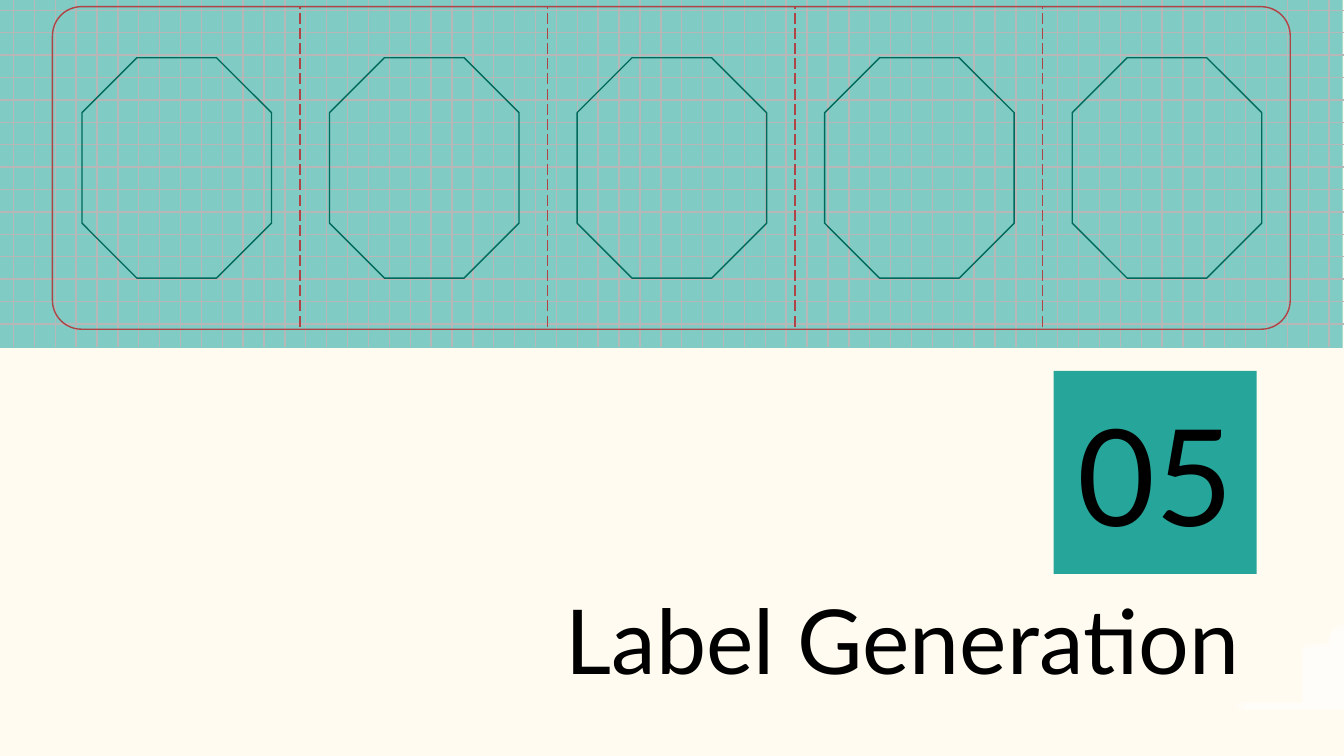
from lxml import etree
from pptx import Presentation
from pptx.dml.color import RGBColor
from pptx.enum import dml, shapes, text
from pptx.oxml.ns import qn
from pptx.util import Inches, Pt

CREAM = RGBColor(0xFF, 0xFB, 0xF0)
MINT = RGBColor(0x80, 0xCB, 0xC4)
TEAL = RGBColor(0x26, 0xA6, 0x9A)
PINE = RGBColor(0x00, 0x69, 0x5C)
RED = RGBColor(0xAF, 0x43, 0x45)
GREY = RGBColor(0xB7, 0xB7, 0xB7)
WHITE = RGBColor(0xFF, 0xFF, 0xFF)
BLACK = RGBColor(0x00, 0x00, 0x00)
KIND = shapes.MSO_SHAPE

# Widescreen, 16 to 9
deck = Presentation()
deck.slide_width, deck.slide_height = Inches(10), Inches(10 * 9 / 16)
slide = deck.slides.add_slide(deck.slide_layouts[0])
slide.background.fill.solid()
slide.background.fill.fore_color.rgb = CREAM
tree = slide.shapes


def block(kind, box, fill=None, edge=None):
    shape = tree.add_shape(kind, *map(Inches, box))
    shape.shadow.inherit = False
    if fill is None:
        shape.fill.background()
    else:
        shape.fill.solid()
        shape.fill.fore_color.rgb = fill
    if edge is None:
        shape.line.fill.background()
    else:
        shape.line.color.rgb = edge
        shape.line.width = Pt(0.75)
    return shape


def rule(home, ends, color):
    line = home.add_connector(shapes.MSO_CONNECTOR.STRAIGHT, *map(Inches, ends))
    line.line.color.rgb = color
    line.line.width = Pt(0.75)
    etree.SubElement(line._element.spPr, qn("a:effectLst"))
    return line


# Band with graph paper
block(KIND.RECTANGLE, (-0.01, -0.07, 10, 2.66), MINT)
rows = tree.add_group_shape().shapes
for i in range(15):
    y = 2.41 - i / 6
    rule(rows, (10, y, 0, y), GREY)
cols = tree.add_group_shape().shapes
for i in range(64):
    x = 9.89 - i * 9.79 / 63
    rule(cols, (x, -0.06, x, 2.58), GREY)

# Label strip: frame, five octagons, dashed cuts between them
frame = block(KIND.ROUNDED_RECTANGLE, (0.39, 0.05, 9.21, 2.4), edge=RED)
frame.adjustments[0] = 0.09
pitch = 9.21 / 5
for i in range(5):
    tag = block(KIND.OCTAGON, (0.61 + i * pitch, 0.43, 1.41, 1.64), edge=PINE)
    tag.adjustments[0] = 0.29
for i in range(1, 5):
    x = 0.39 + i * pitch
    cut = rule(tree, (x, 2.43, x, 0.05), RED)
    cut.line.dash_style = dml.MSO_LINE.LONG_DASH

# Clouds: a pair is a straight side, three pairs are a curve
start = (9.98, 4.68)
path = [
    (9.93, 4.68, 9.88, 4.72, 9.88, 4.77), (9.88, 4.78, 9.89, 4.8, 9.89, 4.81),
    (9.77, 4.81), (9.7, 4.81, 9.63, 4.87, 9.63, 4.94),
    (9.58, 4.97, 9.54, 5.02, 9.54, 5.09), (9.39, 5.09),
    (9.32, 5.09, 9.26, 5.15, 9.26, 5.23), (9.26, 5.29, 9.3, 5.34, 9.36, 5.36),
    (9.36, 5.37, 9.36, 5.38, 9.36, 5.39), (9.36, 5.45, 9.41, 5.5, 9.48, 5.5),
    (9.67, 5.5), (9.73, 5.5, 9.78, 5.45, 9.78, 5.39), (9.78, 5.36),
    (9.87, 5.36), (9.85, 5.38, 9.85, 5.4, 9.85, 5.42),
    (9.85, 5.47, 9.88, 5.51, 9.92, 5.53), (9.92, 5.54),
    (9.92, 5.62, 9.98, 5.68, 10.06, 5.68), (10.44, 5.68),
    (10.52, 5.68, 10.58, 5.62, 10.58, 5.54), (10.67, 5.54),
    (10.73, 5.54, 10.79, 5.49, 10.79, 5.42),
    (10.79, 5.36, 10.73, 5.31, 10.67, 5.31), (10.4, 5.31), (10.41, 5.29),
    (11.06, 5.29), (11.12, 5.29, 11.17, 5.24, 11.17, 5.18),
    (11.17, 5.12, 11.12, 5.07, 11.06, 5.07), (10.72, 5.07),
    (10.71, 4.99, 10.65, 4.93, 10.57, 4.93), (10.32, 4.93),
    (10.32, 4.91, 10.31, 4.89, 10.3, 4.87), (10.31, 4.87),
    (10.36, 4.87, 10.4, 4.83, 10.4, 4.77),
    (10.4, 4.72, 10.36, 4.68, 10.31, 4.68),
]
dots = [start]
for step in path:
    if len(step) == 2:
        dots.append(step)
        continue
    x, y = dots[-1]
    a, b, c, d, e, f = step
    for t in (0.25, 0.5, 0.75, 1):
        s = 1 - t
        w = (s**3, 3 * s * s * t, 3 * s * t * t, t**3)
        dots.append((w[0] * x + w[1] * a + w[2] * c + w[3] * e,
                     w[0] * y + w[1] * b + w[2] * d + w[3] * f))
for left, top, grow in ((9.26, 4.68, 1), (9.2, 4.64, 1.12)):
    spots = [(Inches(left + (x - 9.26) * grow), Inches(top + (y - 4.68) * grow))
             for x, y in dots]
    pen = tree.build_freeform(*spots[0])
    pen.add_line_segments(spots[1:], close=True)
    cloud = pen.convert_to_shape()
    cloud.shadow.inherit = False
    cloud.line.fill.background()
    cloud.fill.solid()
    cloud.fill.fore_color.rgb = WHITE
    tint = cloud._element.spPr.find(qn("a:solidFill"))[0]
    etree.SubElement(tint, qn("a:alpha"), val="40000")

# Number tile and cream panels
block(KIND.RECTANGLE, (5.24, 4.53, 4.45, 0.7), CREAM)
tile = block(KIND.RECTANGLE, (7.84, 2.76, 1.51, 1.51), TEAL)
block(KIND.RECTANGLE, (0, 5.28, 10, 0.35), CREAM)

# Title, in front of the panels
sub = slide.placeholders[1]._element
sub.getparent().remove(sub)
title = tree.title
title._element.getparent().append(title._element)
place = {"left": 2.75, "top": 4.4, "width": 6.57, "height": 0.7}
for key, val in place.items():
    setattr(title, key, Inches(val))
title.fill.solid()
title.fill.fore_color.rgb = CREAM

# Wording
for shape, words, size, align in (
    (tile, "05", 72, text.PP_ALIGN.CENTER),
    (title, "Label Generation", 48, text.PP_ALIGN.RIGHT),
):
    body = shape.text_frame
    body.text = words
    inset = Inches(0.1)
    style = {"margin_left": inset, "margin_right": inset, "margin_top": inset,
             "margin_bottom": inset, "word_wrap": True,
             "auto_size": text.MSO_AUTO_SIZE.NONE,
             "vertical_anchor": text.MSO_ANCHOR.MIDDLE}
    for key, val in style.items():
        setattr(body, key, val)
    para = body.paragraphs[0]
    para.alignment = align
    para.font.color.rgb = BLACK
    for key, val in {"name": "Lato", "size": Pt(size), "bold": False}.items():
        setattr(para.font, key, val)

deck.save("out.pptx")
